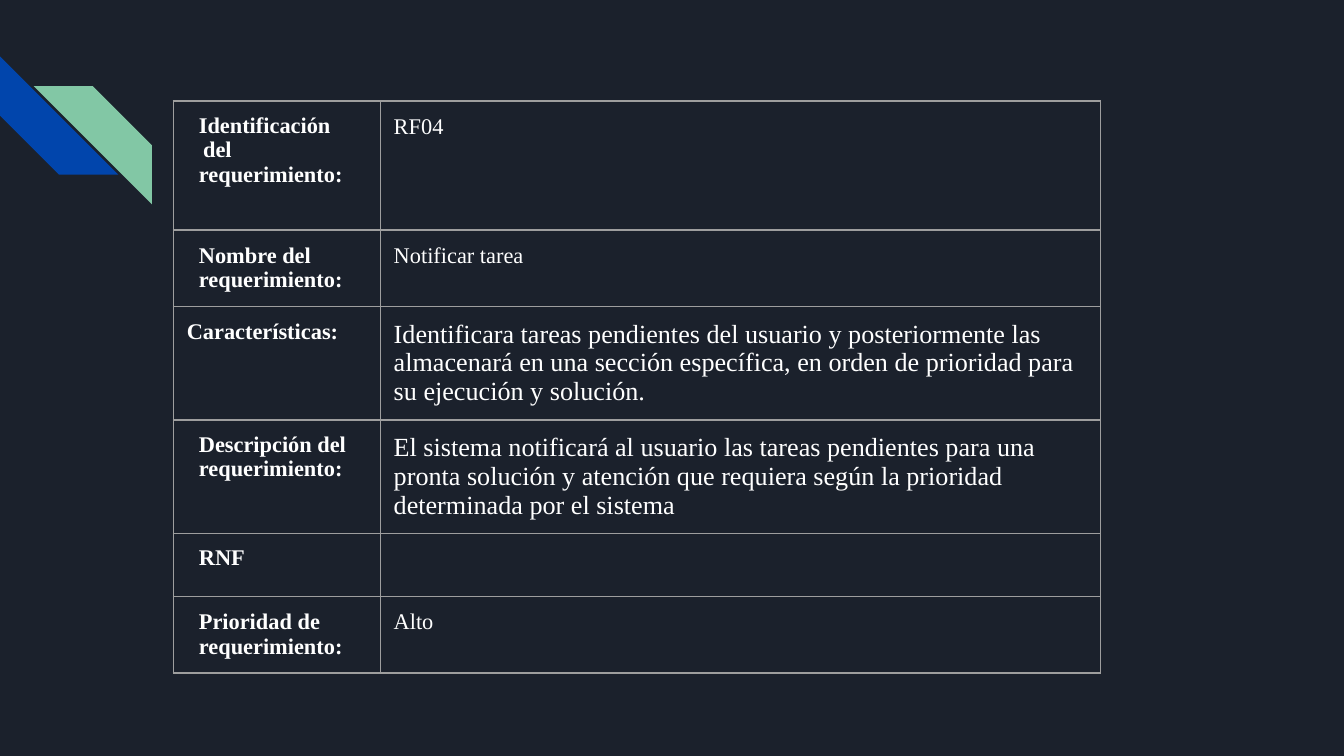
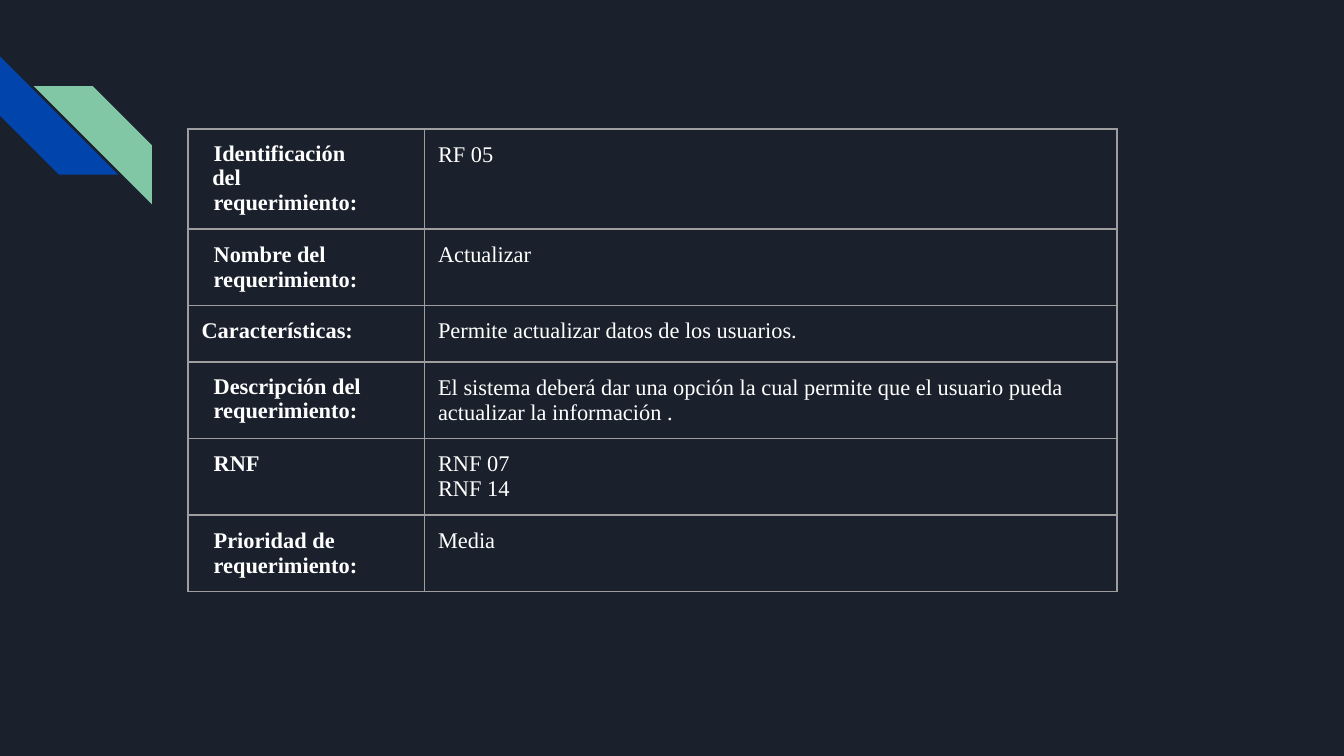
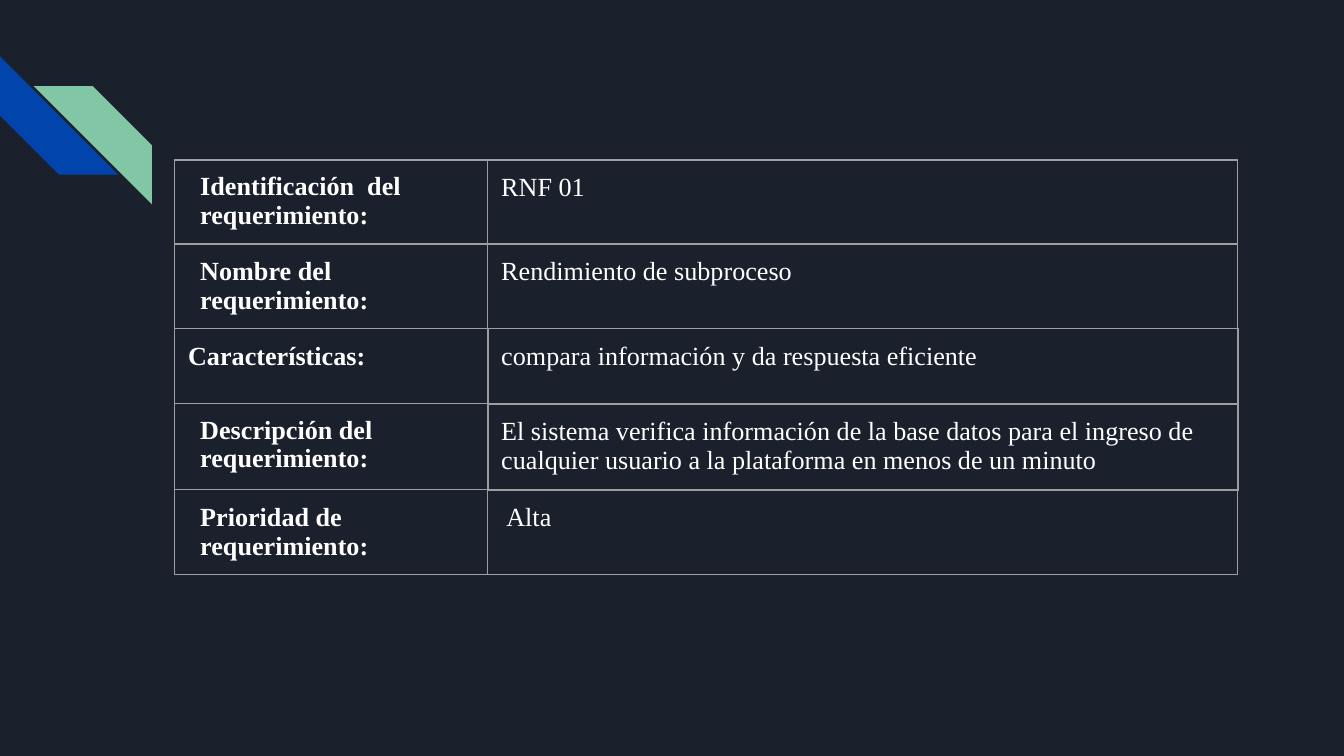
from lxml import etree
from pptx import Presentation
from pptx.dml.color import RGBColor
from pptx.enum.shapes import MSO_SHAPE
from pptx.oxml.ns import qn
from pptx.util import Emu, Inches, Pt

STRIPE = MSO_SHAPE.DIAGONAL_STRIPE

# Shared look
NAVY = RGBColor(0x1B, 0x21, 0x2C)
BLUE = RGBColor(0x01, 0x45, 0xAC)
GREEN = RGBColor(0x82, 0xC7, 0xA5)
GREY = RGBColor(0x9E, 0x9E, 0x9E)
WHITE = RGBColor(0xFF, 0xFF, 0xFF)
FONT = "Times New Roman"
INSET = Emu(91425)
STRIPE_SIZE = 0.88
THICK = 1

# Paragraph formats of the label column: margins and first-line indent in inches
INDENTED = {"marL": 0.09}
TIGHT = {"marL": 0.09, "line_spacing": 0.96}
FIRST = {"marL": 0.08, "marR": 0.25, "indent": 0.01, "line_spacing": 0.96}
AFTER_FIRST = {"marL": 0.09, "space_before": Pt(0.3)}

LABELS = {
    "id": [("Identificación  del", FIRST), ("requerimiento:", AFTER_FIRST)],
    "name": [("Nombre del", INDENTED), ("requerimiento:", INDENTED)],
    "features": [("Características:", {})],
    "description": [("Descripción del  requerimiento:", TIGHT)],
    "rnf": [("RNF", TIGHT)],
    "priority": [("Prioridad de", INDENTED), ("requerimiento:", INDENTED)],
}

# Each row: label key, height, value lines, and a value size if it differs
REQUIREMENTS = [
    {"box": (1.29, 0.75), "cols": (1.54, 5.36), "size": 12, "border": 1,
     "rows": [
         ("id", 0.96, ["RF04"]),
         ("name", 0.42, ["Notificar tarea"]),
         ("features", 0.42, ["Identificara tareas pendientes del usuario y "
                             "posteriormente las almacenará en una sección "
                             "específica, en orden de prioridad para su "
                             "ejecución y solución."], 14),
         ("description", 0.42, ["El sistema notificará al usuario las tareas "
                                "pendientes para una pronta solución y atención "
                                "que requiera según la prioridad determinada "
                                "por el sistema"], 14),
         ("rnf", 0.47, []),
         ("priority", 0.42, ["Alto"]),
     ]},
    {"box": (1.4, 0.96), "cols": (1.76, 5.15), "size": 12, "border": 1,
     "rows": [
         ("id", 0.64, ["RF 05"]),
         ("name", 0.54, ["Actualizar"]),
         ("features", 0.42, ["Permite actualizar datos de los usuarios."]),
         ("description", 0.42, ["El sistema deberá dar una opción la cual permite "
                                "que el usuario pueda actualizar la información ."]),
         ("rnf", 0.42, ["RNF 07", "RNF 14"]),
         ("priority", 0.42, ["Media"]),
     ]},
    {"box": (1.3, 1.19), "cols": (2.33, 5.58), "size": 14, "border": 0.75,
     "thick_cells": {(2, 1), (3, 1)},
     "rows": [
         ("id", 0.51, ["RNF 01"]),
         ("name", 0.53, ["Rendimiento de subproceso"]),
         ("features", 0.56, ["compara información y da respuesta eficiente"]),
         ("description", 0.64, ["El sistema verifica información de la base datos "
                                "para el ingreso de cualquier usuario a la "
                                "plataforma en menos de un minuto"]),
         ("priority", 0.42, [" Alta"]),
     ]},
]


def add_stripes(s, left, top):
    """Corner ornament: a blue and a green diagonal stripe."""
    for dx, dy, color, rotation, flip in ((0, 0, BLUE, 270, False),
                                          (0.25, 0.22, GREEN, 0, True)):
        sp = s.shapes.add_shape(STRIPE, Inches(left + dx), Inches(top + dy),
                                Inches(STRIPE_SIZE), Inches(STRIPE_SIZE))
        sp.shadow.inherit = False
        sp.adjustments[0] = 0.5
        sp.rotation = rotation
        sp.fill.solid()
        sp.fill.fore_color.rgb = color
        sp.line.fill.background()
        if flip:
            sp._element.spPr.xfrm.set("flipH", "1")


def set_borders(cell, row, col, width, thick_cells):
    """Edges of a thick cell are thick on both sides of the edge."""
    tcPr = cell._tc.get_or_add_tcPr()
    for side, dr, dc in (("L", 0, -1), ("R", 0, 1), ("T", -1, 0), ("B", 1, 0)):
        thick = thick_cells & {(row, col), (row + dr, col + dc)}
        ln = etree.SubElement(tcPr, qn("a:ln" + side),
                              w=str(Pt(THICK if thick else width)))
        fill = etree.SubElement(ln, qn("a:solidFill"))
        etree.SubElement(fill, qn("a:srgbClr"), val=str(GREY))


def fill_cell(cell, paragraphs, size, bold):
    for side in ("left", "right", "top", "bottom"):
        setattr(cell, "margin_" + side, INSET)
    cell.fill.background()
    tf = cell.text_frame
    if not paragraphs:
        tf.paragraphs[0]._p.get_or_add_endParaRPr().set("sz", str(size * 100))
    for i, (text, style) in enumerate(paragraphs):
        p = tf.add_paragraph() if i else tf.paragraphs[0]
        pPr = p._p.get_or_add_pPr()
        for name in ("marL", "marR", "indent"):
            pPr.set(name, str(Inches(style.get(name, 0))))
        for name in ("line_spacing", "space_before"):
            if name in style:
                setattr(p, name, style[name])
        r = p.add_run()
        r.text = text
        for name, value in {"name": FONT, "size": Pt(size), "bold": bold}.items():
            setattr(r.font, name, value)
        r.font.color.rgb = WHITE


def add_requirement_table(s, req):
    left, top = req["box"]
    rows, cols, size = req["rows"], req["cols"], req["size"]
    height = sum(row[1] for row in rows)
    table = s.shapes.add_table(len(rows), len(cols), Inches(left), Inches(top),
                               Inches(sum(cols)), Inches(height)).table
    table.first_row = table.horz_banding = False
    for c, width in enumerate(cols):
        table.columns[c].width = Inches(width)
    for i, (key, row_height, lines, *value_size) in enumerate(rows):
        table.rows[i].height = Inches(row_height)
        values = [(line, {}) for line in lines]
        for c in range(len(cols)):
            set_borders(table.cell(i, c), i, c, req["border"],
                        req.get("thick_cells", set()))
        fill_cell(table.cell(i, 0), LABELS[key], size, True)
        fill_cell(table.cell(i, 1), values, value_size[0] if value_size else size, False)


def add_requirement_slide(prs, req):
    s = prs.slides.add_slide(prs.slide_layouts[6])
    s.background.fill.solid()
    s.background.fill.fore_color.rgb = NAVY
    add_stripes(s, 0, 0.42)
    add_requirement_table(s, req)


def main():
    prs = Presentation()
    # Widescreen, 16:9
    prs.slide_width = Inches(10)
    prs.slide_height = prs.slide_width * 9 // 16
    for req in REQUIREMENTS:
        add_requirement_slide(prs, req)
    prs.save("out.pptx")


if __name__ == "__main__":
    main()
